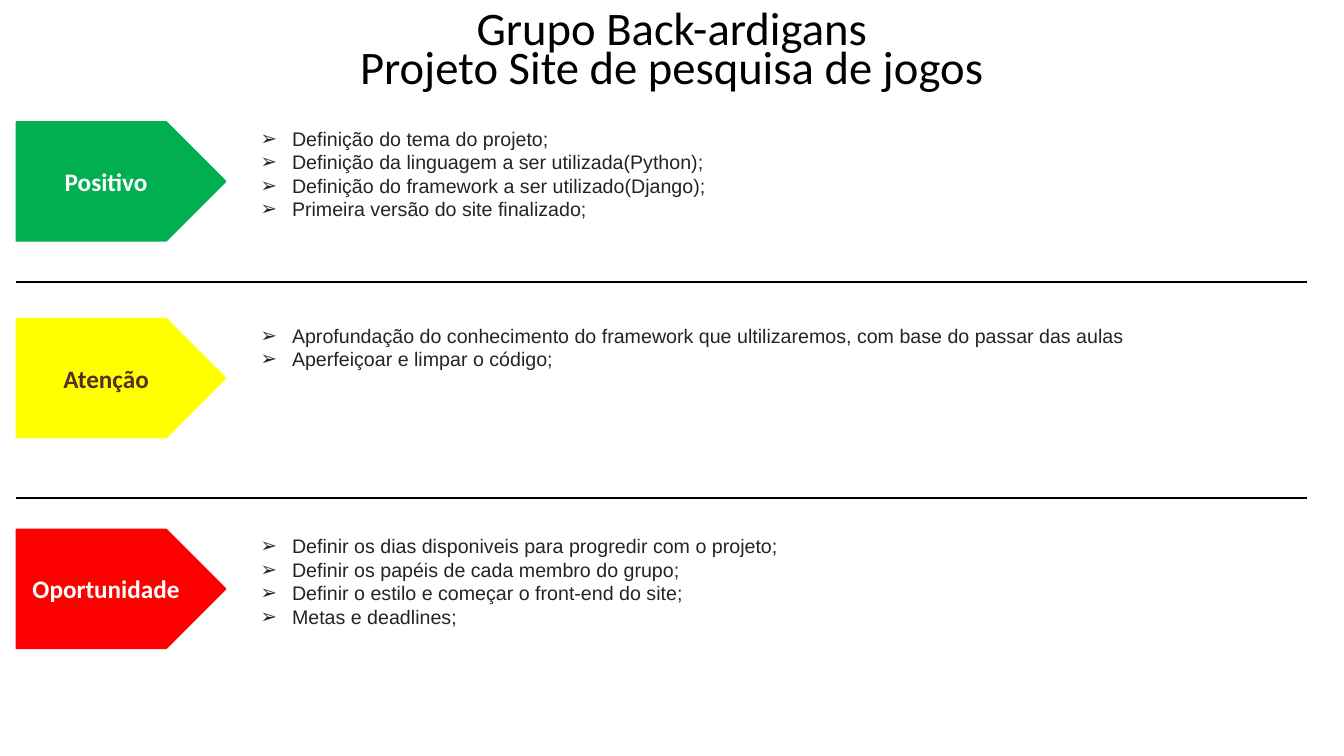
from lxml.etree import SubElement
from pptx import Presentation
from pptx.dml.color import RGBColor
from pptx.enum.shapes import MSO_CONNECTOR as Connector, MSO_SHAPE as Shape
from pptx.enum.text import MSO_ANCHOR as Anchor, MSO_AUTO_SIZE as AutoSize, PP_ALIGN as Align
from pptx.oxml.ns import qn
from pptx.util import Cm, Pt

BLACK = RGBColor(0x00, 0x00, 0x00)
WHITE = RGBColor(0xFF, 0xFF, 0xFF)
CHARCOAL = RGBColor(0x24, 0x24, 0x24)
BROWN = RGBColor(0x59, 0x30, 0x1D)
GREEN = RGBColor(0x00, 0xB0, 0x50)
YELLOW = RGBColor(0xFF, 0xFF, 0x00)
RED = RGBColor(0xFF, 0x00, 0x00)

SLIDE_WIDTH, SLIDE_HEIGHT = Cm(33.87), Cm(19.05)
LEFT = Cm(0.41)
DIVIDER_RIGHT = Cm(32.94)
LIST_LEFT, LIST_WIDTH = Cm(6.32), Cm(25.4)

# Label, fill, label colour, top in cm, list items
SECTIONS = [
    ("Positivo", GREEN, WHITE, 3.07, [
        "Definição do tema do projeto;",
        "Definição da linguagem a ser utilizada(Python);",
        "Definição do framework a ser utilizado(Django);",
        "Primeira versão do site finalizado;",
    ]),
    ("Atenção", YELLOW, BROWN, 8.03, [
        "Aprofundação do conhecimento do framework que ultilizaremos, "
        "com base do passar das aulas",
        "Aperfeiçoar e limpar o código;",
    ]),
    ("Oportunidade", RED, WHITE, 13.34, [
        "Definir os dias disponiveis para progredir com o projeto;",
        "Definir os papéis de cada membro do grupo;",
        "Definir o estilo e começar o front-end do site;",
        "Metas e deadlines;",
    ]),
]
DIVIDER_TOPS = (7.11, 12.55)


class StatusSlide:
    """Holds the slide and the style of its elements."""

    heading_font = "Calibri"
    body_font = "Arial"
    bullet = "➢"
    indent = Cm(0.79)

    def __init__(self, presentation):
        self.slide = presentation.slides.add_slide(presentation.slide_layouts[5])
        self.shapes = self.slide.shapes

    def style(self, paragraph, font_name, size, color, align, bold=False):
        font = paragraph.font
        font.name, font.size, font.bold = font_name, Pt(size), bold
        font.color.rgb = color
        paragraph.alignment = align

    def title(self, lines):
        title = self.shapes.title
        title.left, title.top = 0, 0
        title.width, title.height = SLIDE_WIDTH, Cm(2.67)
        frame = title.text_frame
        frame.text = "\n".join(lines)
        frame.auto_size = AutoSize.NONE
        frame.vertical_anchor = Anchor.MIDDLE
        for paragraph in frame.paragraphs:
            self.style(paragraph, self.heading_font, 33.3, BLACK, Align.CENTER)
            paragraph.line_spacing = 0.7

    def label(self, text, top, fill, color):
        arrow = self.shapes.add_shape(Shape.PENTAGON, LEFT, top, Cm(5.28), Cm(3))
        arrow.shadow.inherit = False
        arrow.fill.solid()
        arrow.fill.fore_color.rgb = fill
        arrow.line.color.rgb = fill
        arrow.line.width = Pt(1)
        frame = arrow.text_frame
        frame.text = text
        frame.vertical_anchor = Anchor.MIDDLE
        self.style(frame.paragraphs[0], self.heading_font, 18, color, Align.CENTER, bold=True)

    def bullets(self, items, top):
        height = Cm(0.25 + 0.6 * len(items))
        frame = self.shapes.add_textbox(LIST_LEFT, top, LIST_WIDTH, height).text_frame
        frame.word_wrap = True
        frame.text = "\n".join(items)
        for paragraph in frame.paragraphs:
            self.style(paragraph, self.body_font, 14, CHARCOAL, Align.JUSTIFY)
            properties = paragraph._p.get_or_add_pPr()
            properties.set("marL", str(self.indent))
            properties.set("indent", str(-self.indent))
            SubElement(properties, qn("a:buFont"), typeface=self.body_font)
            SubElement(properties, qn("a:buChar"), char=self.bullet)

    def divider(self, top):
        line = self.shapes.add_connector(Connector.STRAIGHT, LEFT, top, DIVIDER_RIGHT, top)
        line.line.color.rgb = BLACK
        line.line.width = Pt(1.5)
        SubElement(line._element.spPr, qn("a:effectLst"))


def main():
    presentation = Presentation()
    presentation.slide_width, presentation.slide_height = SLIDE_WIDTH, SLIDE_HEIGHT
    status = StatusSlide(presentation)

    # Heading
    status.title(["Grupo Back-ardigans", "Projeto Site de pesquisa de jogos"])

    # Labelled sections
    for name, fill, color, top, items in SECTIONS:
        status.label(name, Cm(top), fill, color)
        status.bullets(items, Cm(top))

    # Lines between the sections
    for top in DIVIDER_TOPS:
        status.divider(Cm(top))

    presentation.save("out.pptx")


if __name__ == "__main__":
    main()
